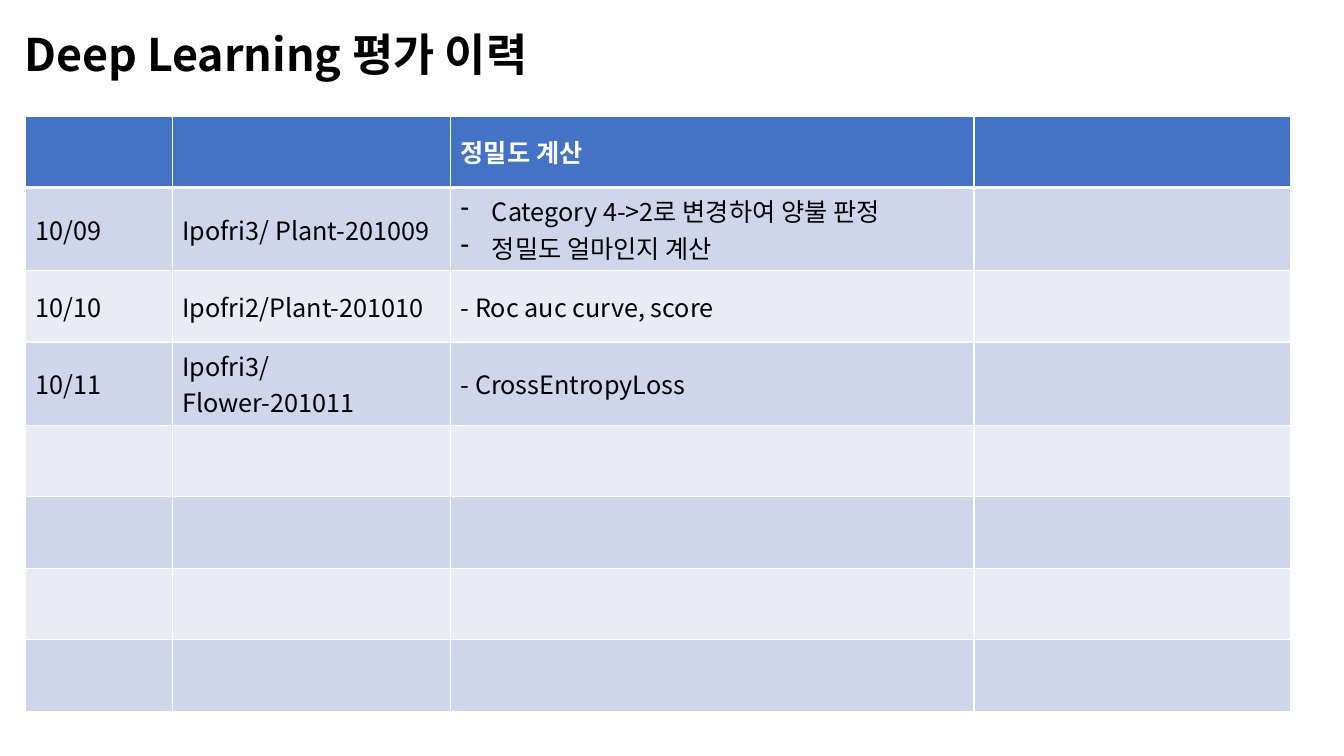
from dataclasses import dataclass

from lxml.etree import SubElement
from pptx import Presentation
from pptx.dml.color import RGBColor as Rgb
from pptx.enum.text import MSO_ANCHOR as Anchor
from pptx.enum.text import MSO_AUTO_SIZE as AutoSize
from pptx.oxml.ns import qn
from pptx.util import Pt

EMU_PER_PX = 9144
COLUMN_WIDTHS = (146, 276, 519, 314)
ROW_HEIGHT = 71
ROW_COUNT = 8
BULLET_INDENT = 31
HISTORY = (
    ("", "", "정밀도 계산"),
    ("10/09", "Ipofri3/ Plant-201009",
     ["Category 4->2로 변경하여 양불 판정", "정밀도 얼마인지 계산"]),
    ("10/10", "Ipofri2/Plant-201010", "- Roc auc curve, score"),
    ("10/11", "Ipofri3/Flower-201011", "- CrossEntropyLoss"),
)


@dataclass(frozen=True)
class Theme:
    """Colours, font and type sizes of the slide."""
    font: str = "Noto Sans CJK KR"
    text: str = "000000"
    white: str = "FFFFFF"
    header: str = "4472C4"
    bands: tuple = ("E9EBF5", "CFD5EA")
    title_size: int = 32
    body_size: int = 18
    grid_line: int = 1
    header_line: int = 3


THEME = Theme()


def px(length):
    """Turn a length in px into EMU."""
    return length * EMU_PER_PX


def add_run(paragraph, text, size, color, bold):
    """Append one styled run to a paragraph."""
    run = paragraph.add_run()
    run.text = text
    font = run.font
    font.size, font.bold, font.name = Pt(size), bold, THEME.font
    font.color.rgb = Rgb.from_string(color)
    latin = font._element.find(qn("a:latin"))
    east_asian = latin.makeelement(qn("a:ea"), {"typeface": THEME.font})
    latin.addnext(east_asian)


def add_dash(paragraph):
    """Give a paragraph a hanging dash bullet."""
    properties = paragraph._p.get_or_add_pPr()
    properties.set("marL", str(px(BULLET_INDENT)))
    properties.set("indent", str(px(-BULLET_INDENT)))
    SubElement(properties, qn("a:buFontTx"))
    SubElement(properties, qn("a:buChar"), char="-")


def add_borders(cell, top, bottom):
    """Draw white lines on the four sides of a cell."""
    properties = cell._tc.get_or_add_tcPr()
    sides = {"L": THEME.grid_line, "R": THEME.grid_line, "T": top, "B": bottom}
    for side, width in sides.items():
        line = SubElement(properties, qn(f"a:ln{side}"), w=str(Pt(width)))
        fill = SubElement(line, qn("a:solidFill"))
        SubElement(fill, qn("a:srgbClr"), val=THEME.white)


def fill_cell(cell, content, color, bold):
    """Write a cell's text, with dashes for a list."""
    cell.vertical_anchor = Anchor.MIDDLE
    entries = content if isinstance(content, list) else [content]
    for index, entry in enumerate(entries):
        frame = cell.text_frame
        paragraph = frame.add_paragraph() if index else frame.paragraphs[0]
        if isinstance(content, list):
            add_dash(paragraph)
        add_run(paragraph, entry, THEME.body_size, color, bold)


def add_title(slide, text):
    """Add the slide heading."""
    heading = slide.shapes.add_textbox(px(14), px(22), px(543), px(64))
    frame = heading.text_frame
    frame.word_wrap = False
    frame.auto_size = AutoSize.SHAPE_TO_FIT_TEXT
    add_run(frame.paragraphs[0], text, THEME.title_size, THEME.text, True)


def add_history(slide):
    """Add the banded evaluation history table."""
    table = slide.shapes.add_table(
        ROW_COUNT, len(COLUMN_WIDTHS), px(25), px(115),
        px(sum(COLUMN_WIDTHS)), px(ROW_HEIGHT * ROW_COUNT)).table
    table.horz_banding = False
    for column, width in zip(table.columns, COLUMN_WIDTHS):
        column.width = px(width)
    for row_index, row in enumerate(table.rows):
        row.height = px(ROW_HEIGHT)
        is_header = row_index == 0
        background = THEME.header if is_header else THEME.bands[row_index % 2]
        top = THEME.header_line if row_index == 1 else THEME.grid_line
        bottom = THEME.header_line if is_header else THEME.grid_line
        for cell in row.cells:
            add_borders(cell, top, bottom)
            cell.fill.solid()
            cell.fill.fore_color.rgb = Rgb.from_string(background)
    for row, entries in zip(table.rows, HISTORY):
        is_header = entries is HISTORY[0]
        color = THEME.white if is_header else THEME.text
        for cell, content in zip(row.cells, entries):
            if content:
                fill_cell(cell, content, color, is_header)


def main():
    """Build and save the slide."""
    deck = Presentation()
    deck.slide_width, deck.slide_height = px(1333), px(750)
    slide = deck.slides.add_slide(deck.slide_layouts[6])
    add_history(slide)
    add_title(slide, "Deep Learning 평가 이력")
    deck.save("out.pptx")


if __name__ == "__main__":
    main()
